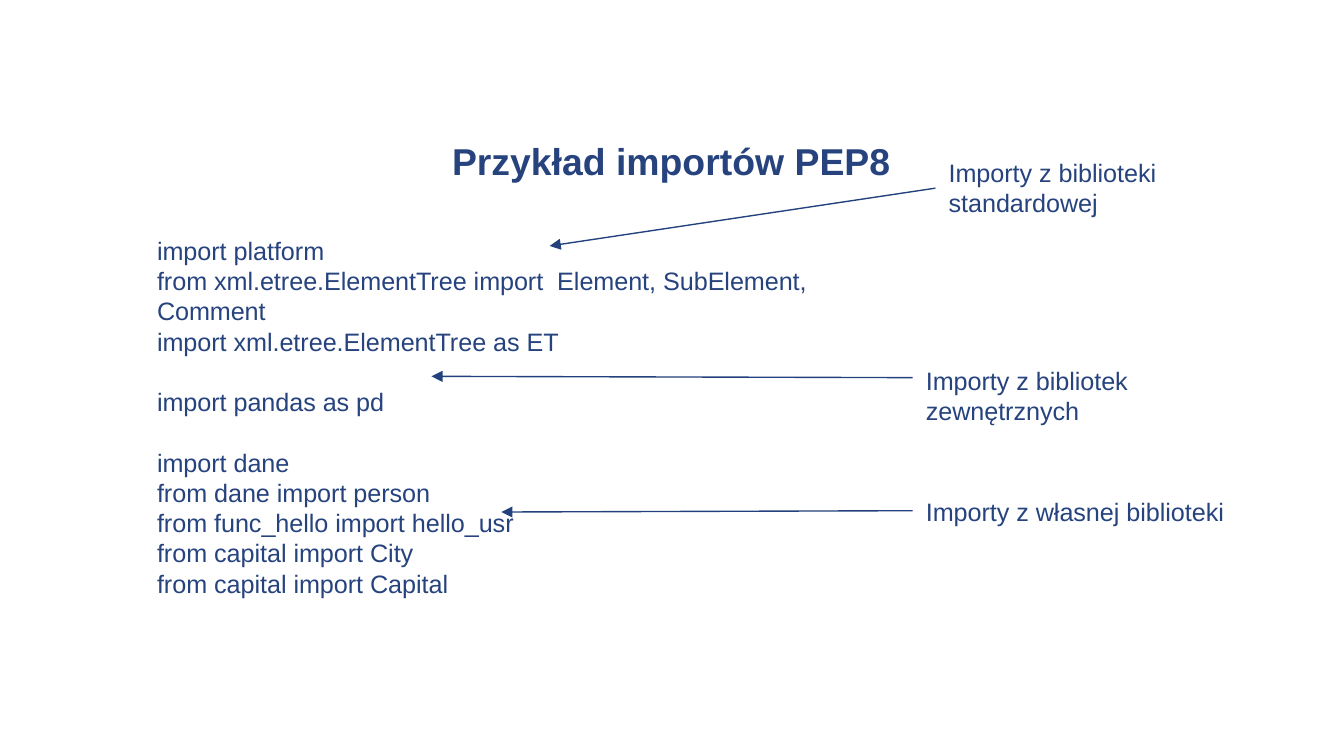
from pptx import Presentation
from pptx.dml.color import RGBColor
from pptx.enum import shapes, text
from pptx.oxml import ns, xmlchemy
from pptx.util import Inches, Pt

COLORS = {"text": "26437E", "arrow": "23417D", "background": "FFFFFF"}
FONT = "Arial"
LINE_PITCH = Pt(16.2)

IMPORT_GROUPS = [
    [
        "import platform",
        "from xml.etree.ElementTree import  Element, SubElement, Comment",
        "import xml.etree.ElementTree as ET",
    ],
    ["import pandas as pd"],
    [
        "import dane",
        "from dane import person",
        "from func_hello import hello_usr",
        "from capital import City",
        "from capital import Capital",
    ],
]

NOTES = [
    ("Importy z biblioteki standardowej", (6.96, 1.12, 2.79, 0.56), 0.28, (4.09, 1.83)),
    ("Importy z bibliotek zewnętrznych", (6.79, 2.67, 2.79, 0.56), 0.14, (3.21, 2.8)),
    ("Importy z własnej biblioteki", (6.79, 3.64, 2.79, 0.33), 0.16, (3.73, 3.81)),
]


def add_frame(slide, box):
    frame = slide.shapes.add_textbox(*map(Inches, box)).text_frame
    frame.word_wrap = True
    return frame


def add_words(paragraph, words, size=13.5, bold=False):
    run = paragraph.add_run()
    run.text = words
    run.font.name = FONT
    run.font.size = Pt(size)
    run.font.bold = bold
    run.font.color.rgb = RGBColor.from_string(COLORS["text"])


def add_title(slide, box):
    frame = add_frame(slide, box)
    frame.vertical_anchor = text.MSO_ANCHOR.BOTTOM
    heading = frame.paragraphs[0]
    heading.alignment = text.PP_ALIGN.CENTER
    add_words(heading, "Przykład importów PEP8", 20, True)


def add_imports(slide, box):
    frame = add_frame(slide, box)
    statement = frame.paragraphs[0]
    for group_index, group in enumerate(IMPORT_GROUPS):
        for line_index, code in enumerate(group):
            if group_index or line_index:
                statement = frame.add_paragraph()
            if group_index and not line_index:
                statement.space_before = LINE_PITCH
            statement.line_spacing = LINE_PITCH
            add_words(statement, code)


def add_arrow(slide, start, end):
    arrow = slide.shapes.add_connector(
        shapes.MSO_CONNECTOR.STRAIGHT, *map(Inches, start + end)
    )
    arrow.line.color.rgb = RGBColor.from_string(COLORS["arrow"])
    arrow.line.width = Pt(0.75)
    arrowhead = xmlchemy.OxmlElement("a:tailEnd")
    arrowhead.set("type", "triangle")
    arrow._element.spPr.find(ns.qn("a:ln")).append(arrowhead)
    arrow._element.spPr.append(xmlchemy.OxmlElement("a:effectLst"))


def add_note(slide, words, box, arrow_drop, target):
    left, top = box[:2]
    label = add_frame(slide, box).paragraphs[0]
    label.line_spacing = LINE_PITCH
    add_words(label, words)
    add_arrow(slide, (left, top + arrow_drop), target)


def main():
    deck = Presentation()
    deck.slide_width = Inches(10)
    deck.slide_height = deck.slide_width * 9 // 16
    slide = deck.slides.add_slide(deck.slide_layouts[6])
    slide.background.fill.solid()
    slide.background.fill.fore_color.rgb = RGBColor.from_string(COLORS["background"])
    add_title(slide, (0.47, 0.6, 9.05, 0.81))
    add_imports(slide, (1.07, 1.7, 5.89, 2.83))
    for note in NOTES:
        add_note(slide, *note)
    deck.save("out.pptx")


if __name__ == "__main__":
    main()
